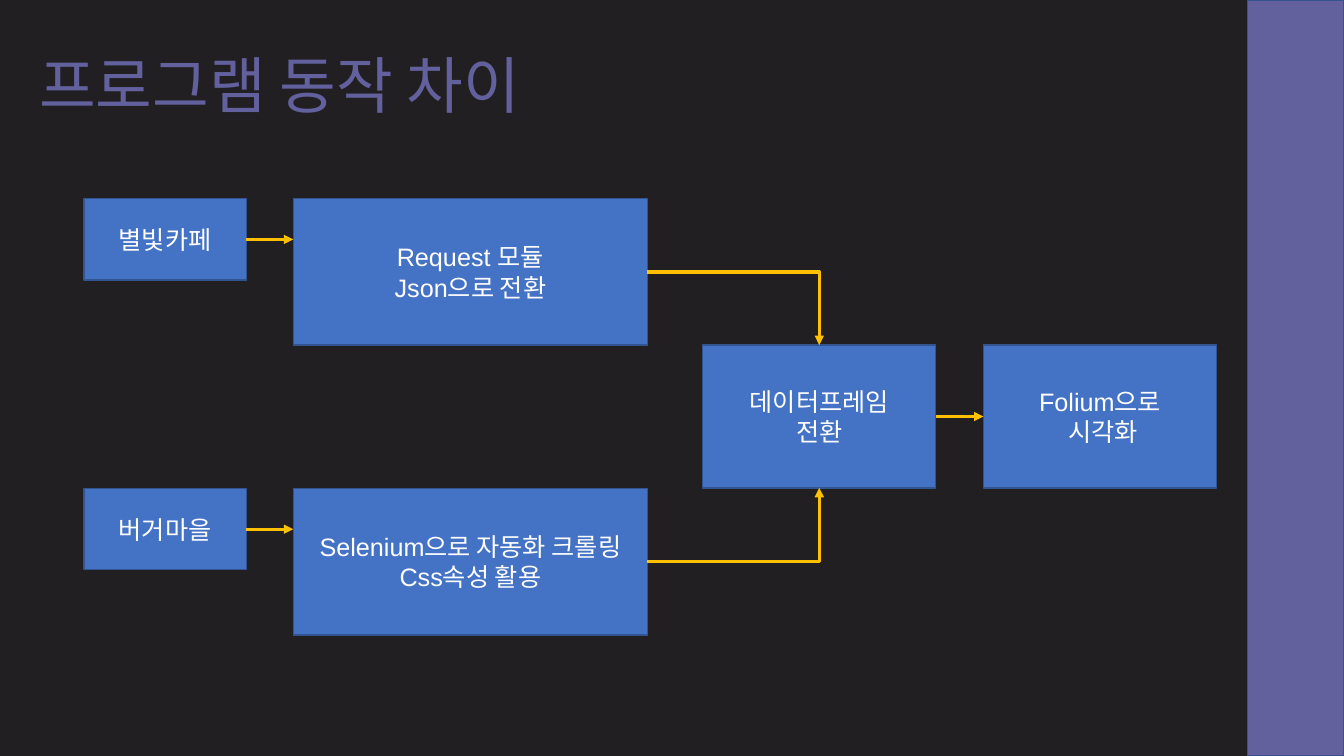
from lxml.etree import SubElement
from pptx import Presentation
from pptx.dml.color import RGBColor
from pptx.enum.shapes import MSO_CONNECTOR, MSO_SHAPE
from pptx.enum.text import MSO_ANCHOR, PP_ALIGN
from pptx.oxml.ns import qn
from pptx.util import Pt

DARK = RGBColor(0x22, 0x1F, 0x23)
PURPLE = RGBColor(0x63, 0x60, 0x9E)
BLUE = RGBColor(0x44, 0x72, 0xC4)
NAVY = RGBColor(0x32, 0x54, 0x91)
GOLD = RGBColor(0xFF, 0xC0, 0x00)
WHITE = RGBColor(0xFF, 0xFF, 0xFF)


def write(frame, lines, size, color, align):
    frame.word_wrap = True
    frame.vertical_anchor = MSO_ANCHOR.MIDDLE
    for i, line in enumerate(lines):
        para = frame.add_paragraph() if i else frame.paragraphs[0]
        para.alignment = align
        run = para.add_run()
        run.text = line
        for key, value in {"name": "Arial", "size": Pt(size)}.items():
            setattr(run.font, key, value)
        run.font.color.rgb = color


def block(x, y, w, h, fill):
    shape = slide.shapes.add_shape(
        MSO_SHAPE.RECTANGLE, Pt(x), Pt(y), Pt(w), Pt(h))
    shape.shadow.inherit = False
    shape.fill.solid()
    shape.fill.fore_color.rgb = fill
    shape.line.color.rgb = NAVY
    shape.line.width = Pt(1)
    return shape


deck = Presentation()
deck.slide_width, deck.slide_height = Pt(960), Pt(540)
slide = deck.slides.add_slide(deck.slide_layouts[6])
slide.background.fill.solid()
slide.background.fill.fore_color.rgb = DARK

title = slide.shapes.add_textbox(Pt(21), Pt(11), Pt(870), Pt(104))
write(title.text_frame, ["프로그램 동작 차이"], 44, PURPLE, PP_ALIGN.LEFT)
title.text_frame.paragraphs[0].line_spacing = 0.9

block(891, 0, 69, 540, PURPLE)

top, low, mid = 142, 349, 246.5
small, wide, big = (116, 58), (253, 104.5), (166.5, 102)
steps = [
    (60, top, small, ["별빛카페"]),
    (60, low, small, ["버거마을"]),
    (209.5, top, wide, ["Request 모듈", "Json으로 전환"]),
    (209.5, low, wide, ["Selenium으로 자동화 크롤링", "Css속성 활용"]),
    (502, mid, big, ["데이터프레임", "전환"]),
    (702.5, mid, big, ["Folium으로", " 시각화"]),
]
for x, y, (w, h), lines in steps:
    box = block(x, y, w, h, BLUE)
    write(box.text_frame, lines, 18, WHITE, PP_ALIGN.CENTER)

arrows = [
    (176, top + 29, 209.5, top + 29),
    (176, low + 29, 209.5, low + 29),
    (462.5, top + 52.25, 585.25, mid),
    (462.5, low + 52.25, 585.25, mid + 102),
    (668.5, mid + 51, 702.5, mid + 51),
]
for x1, y1, x2, y2 in arrows:
    bent = y1 != y2
    kind = MSO_CONNECTOR.ELBOW if bent else MSO_CONNECTOR.STRAIGHT
    link = slide.shapes.add_connector(kind, Pt(x1), Pt(y1), Pt(x2), Pt(y2))
    link.line.color.rgb = GOLD
    link.line.width = Pt(2.25)
    props = link._element.spPr
    if bent:
        props.find(qn("a:prstGeom")).set("prst", "bentConnector2")
    SubElement(props.find(qn("a:ln")), qn("a:tailEnd"), type="triangle")
    SubElement(props, qn("a:effectLst"))

deck.save("out.pptx")
